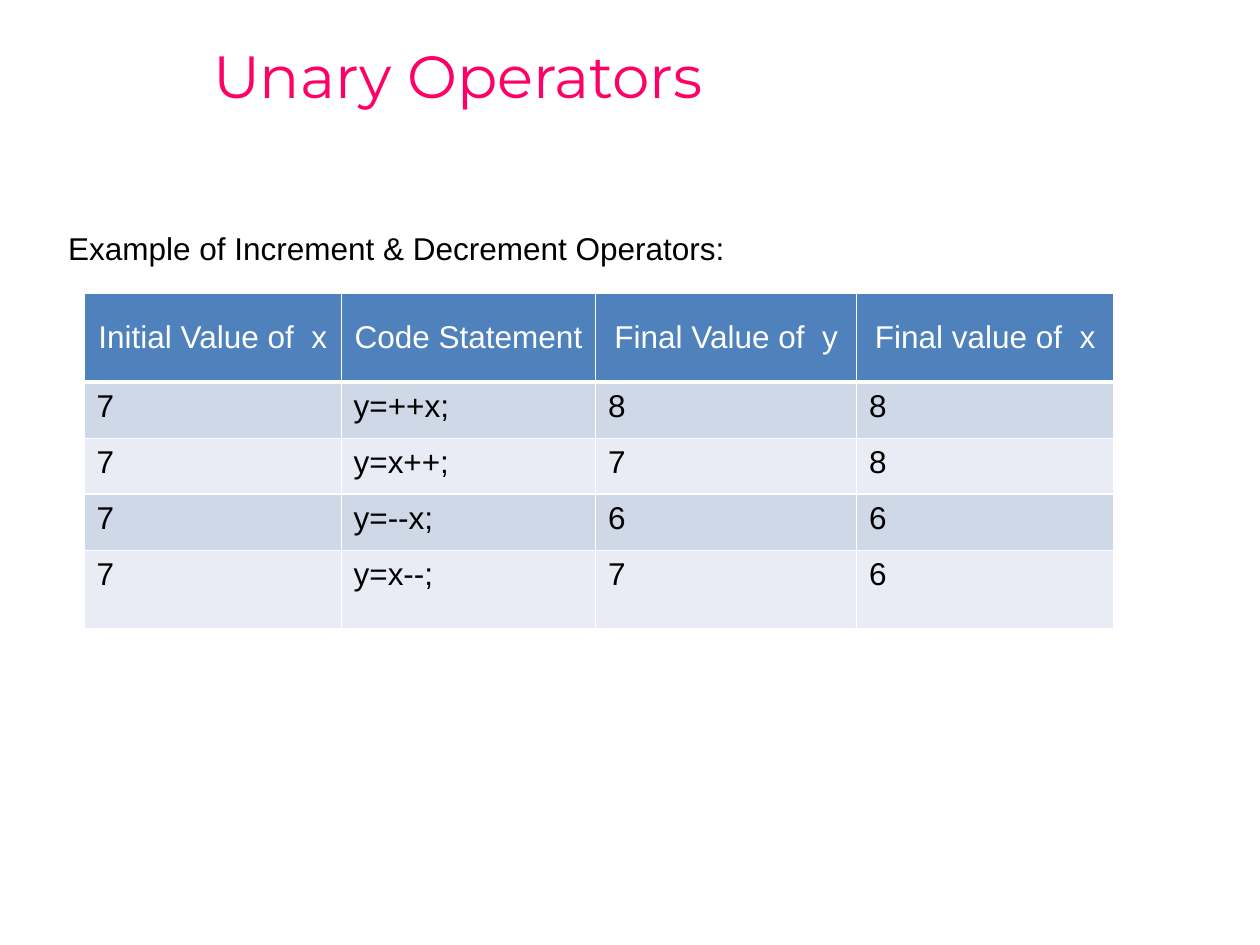
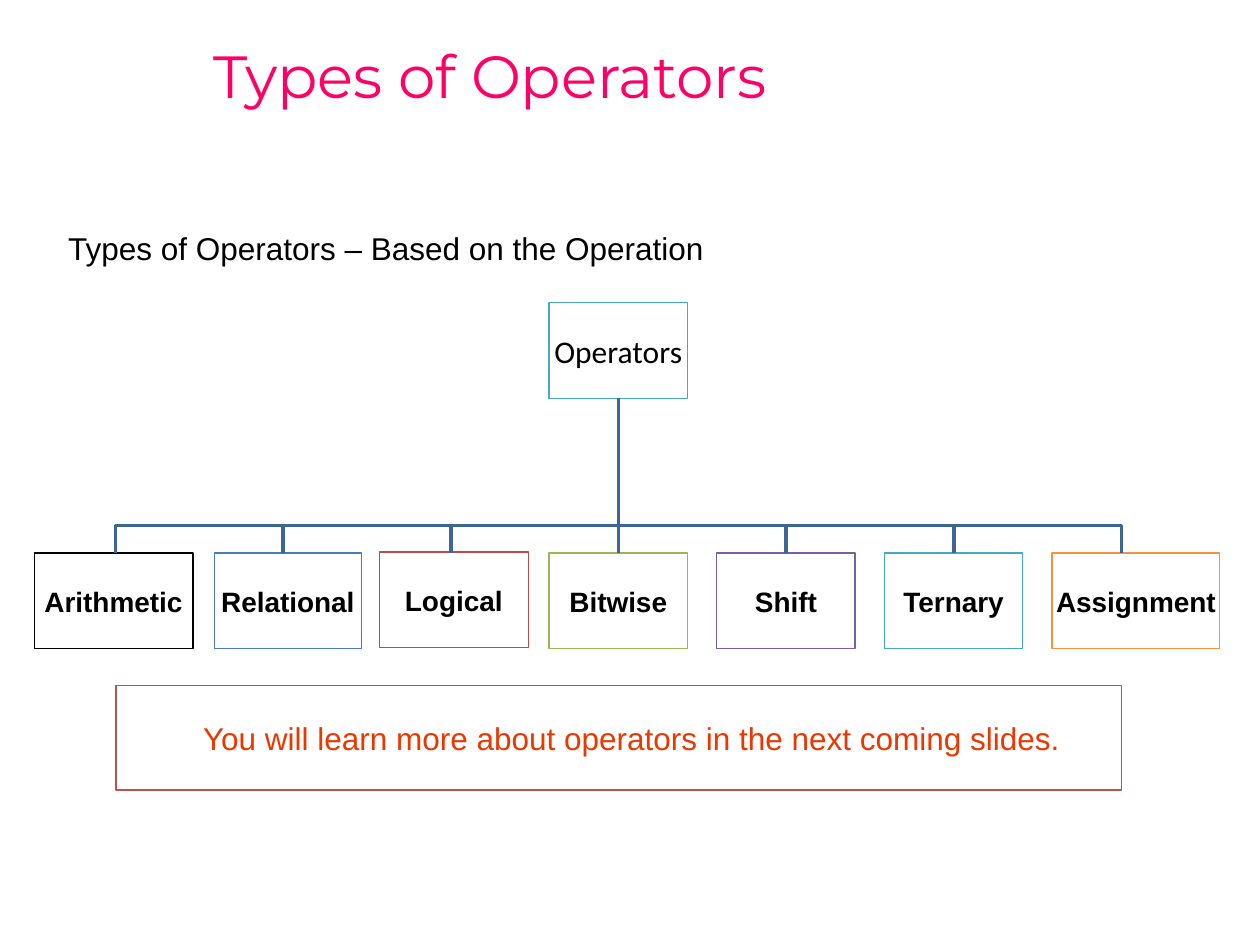
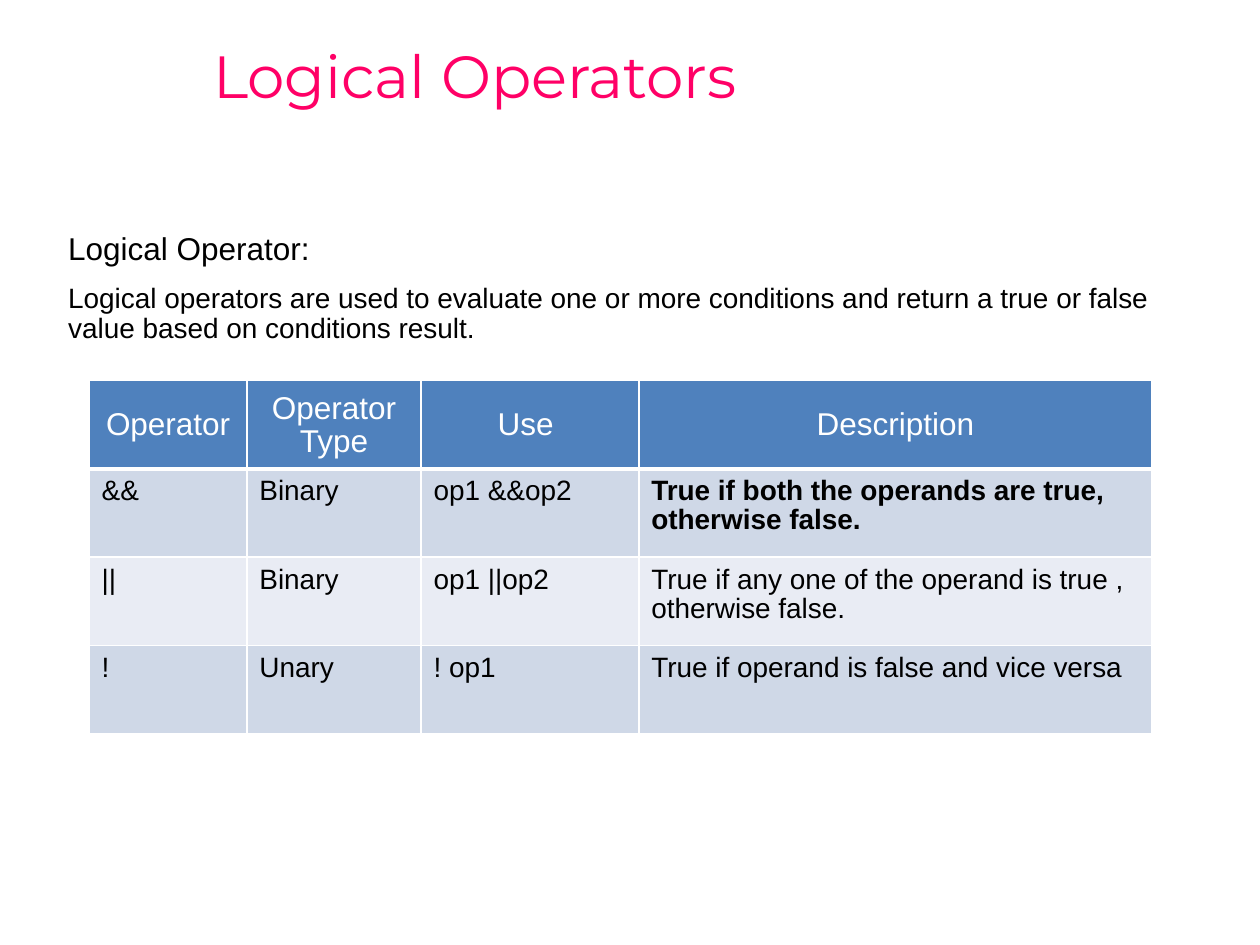
from lxml import etree
from pptx import Presentation
from pptx import util as u
from pptx.dml import color
from pptx.enum import shapes, text
from pptx.oxml import ns

COLORS = {
    "title": "FF0066", "ink": "000000", "paper": "FFFFFF", "branch": "3B6696",
    "header": "4F81BD", "odd": "CFD8E7", "even": "E9ECF4",
    "blue": "4A7DBA", "red": "BD4B48", "green": "97B853", "purple": "7C5F9F",
    "teal": "46A9C4", "orange": "F5913F", "note": "EA3800", "note edge": "C0504D",
}
RGB = {name: color.RGBColor.from_string(value) for name, value in COLORS.items()}
LEFT, CENTER = text.PP_ALIGN.LEFT, text.PP_ALIGN.CENTER
MIDDLE, TOP = text.MSO_ANCHOR.MIDDLE, text.MSO_ANCHOR.TOP


def write(paragraph, words, size=18, font="Arial", ink="ink", bold=False,
          align=LEFT, spacing=1.0, before=0, indent=0):
    run = paragraph.add_run()
    run.text = words
    run.font.size, run.font.name, run.font.bold = u.Pt(size), font, bold
    run.font.color.rgb = RGB[ink]
    paragraph.alignment = align
    paragraph.line_spacing = spacing
    paragraph.space_before = u.Pt(before)
    properties = paragraph._p.get_or_add_pPr()
    properties.set("marL", str(u.Cm(indent)))
    properties.set("indent", "0")
    etree.SubElement(properties, ns.qn("a:buNone"))


def fill_table(slide, left, top, widths, heights, rows, size, bold_cells=()):
    table = slide.shapes.add_table(
        len(rows), len(widths), u.Cm(left), u.Cm(top),
        u.Cm(sum(widths)), u.Cm(sum(heights))).table
    table.first_row = table.horz_banding = False
    for column, width in zip(table.columns, widths):
        column.width = u.Cm(width)
    for r, (row, height) in enumerate(zip(rows, heights)):
        table.rows[r].height = u.Cm(height)
        for c, words in enumerate(row):
            cell = table.cell(r, c)
            cell.margin_left = cell.margin_right = u.Cm(0.25)
            cell.margin_top, cell.margin_bottom = u.Cm(0.18), u.Cm(0.13)
            cell.vertical_anchor = TOP if r else MIDDLE
            write(cell.text_frame.paragraphs[0], words, spacing=0.93,
                  size=size if r else 18, ink="ink" if r else "paper",
                  align=LEFT if r else CENTER, bold=(r, c) in bold_cells)
            # White borders, thicker below the header
            for side in ("L", "R", "T", "B"):
                thick = (r, side) in ((0, "B"), (1, "T"))
                border = etree.SubElement(cell._tc.get_or_add_tcPr(), ns.qn(f"a:ln{side}"),
                                          w=str(u.Pt(2.95 if thick else 0.91)))
                solid = etree.SubElement(border, ns.qn("a:solidFill"))
                etree.SubElement(solid, ns.qn("a:srgbClr"), val=COLORS["paper"])
            cell.fill.solid()
            cell.fill.fore_color.rgb = RGB["header" if r == 0 else "odd" if r % 2 else "even"]


prs = Presentation()
prs.slide_width, prs.slide_height = u.Cm(25.4), u.Cm(19.05)

# Titles and body text of all slides
contents = [
    ("Unary Operators", 12.19, [("Example of Increment & Decrement Operators:", 18)]),
    ("Types of Operators", 12.19, [("Types of Operators – Based on the Operation", 18)]),
    ("Logical Operators", 11.18, [
        ("Logical Operator:", 18),
        ("Logical operators are used to evaluate one or more conditions and return "
         "a true or false value based on conditions result.", 16)]),
]
for heading, body_height, lines in contents:
    slide = prs.slides.add_slide(prs.slide_layouts[1])
    title, body = slide.placeholders
    title.left, title.top, title.width, title.height = map(u.Cm, (4.04, 0.03, 21.36, 3.15))
    body.left, body.top, body.width, body.height = map(u.Cm, (1.12, 4.57, 23.01, body_height))
    for holder, anchor in ((title, MIDDLE), (body, TOP)):
        holder.text_frame.auto_size = text.MSO_AUTO_SIZE.NONE
        holder.text_frame.vertical_anchor = anchor
    write(title.text_frame.paragraphs[0], heading, size=34, font="Montserrat",
          ink="title", spacing=0.9)
    for i, (line, size) in enumerate(lines):
        frame = body.text_frame
        write(frame.add_paragraph() if i else frame.paragraphs[0], line,
              size=size, spacing=0.9, before=10)
unary, types, logical = prs.slides

# Unary operators: increment and decrement results
fill_table(unary, 1.7, 5.92, [5.18, 5.13, 5.26, 5.18], [1.78, 1.14, 1.12, 1.14, 1.57], [
    ["Initial Value of  x", "Code Statement", "Final Value of  y", "Final value of  x"],
    ["7", "y=++x;", "8", "8"],
    ["7", "y=x++;", "7", "8"],
    ["7", "y=--x;", "6", "6"],
    ["7", "y=x--;", "7", "6"],
], size=18)

# Types of operators: boxes of the tree and the note below
boxes = [
    ("Operators", 11.07, 6.1, 2.79, 1.93, "teal", dict(font="Calibri")),
    ("Arithmetic", 0.69, 11.15, 3.2, 1.93, "ink", dict(size=16, bold=True)),
    ("Relational", 4.32, 11.15, 2.97, 1.93, "blue", dict(size=16, bold=True)),
    ("Logical", 7.65, 11.13, 3, 1.93, "red", dict(size=16, bold=True)),
    ("Bitwise", 11.07, 11.15, 2.79, 1.93, "green", dict(size=16, bold=True)),
    ("Shift", 14.45, 11.15, 2.79, 1.93, "purple", dict(size=16, bold=True)),
    ("Ternary", 17.83, 11.15, 2.79, 1.93, "teal", dict(size=16, bold=True)),
    ("Assignment", 21.21, 11.15, 3.38, 1.93, "orange", dict(size=16, bold=True)),
    ("You will learn more about operators in the next coming slides.",
     2.34, 13.82, 20.27, 2.11, "note edge", dict(ink="note", indent=0.51)),
]
tree = {}
for words, left, top, width, height, edge, style in boxes:
    box = types.shapes.add_shape(shapes.MSO_SHAPE.RECTANGLE,
                                 *map(u.Cm, (left, top, width, height)))
    box.shadow.inherit = False
    box.fill.solid()
    box.fill.fore_color.rgb = RGB["paper"]
    box.line.color.rgb = RGB[edge]
    box.line.width = u.Pt(0.75)
    box.text_frame.vertical_anchor = MIDDLE
    box.text_frame.word_wrap = edge == "note edge"
    if edge == "note edge":
        box.text_frame.margin_left = box.text_frame.margin_right = 0
    write(box.text_frame.paragraphs[0], words, align=CENTER, **style)
    tree[words] = box

# Branches: a straight trunk to the middle box, bent ones to the others
trunk_x, root_bottom, bend_y, leaf_top, step = 12.47, 8.03, 10.59, 11.15, 3.38
trunk = types.shapes.add_connector(shapes.MSO_CONNECTOR.STRAIGHT, u.Cm(trunk_x),
                                   u.Cm(root_bottom), u.Cm(trunk_x), u.Cm(leaf_top))
trunk.begin_connect(tree["Operators"], 2)
trunk.end_connect(tree["Bitwise"], 0)
etree.SubElement(trunk._element.spPr, ns.qn("a:effectLst"))
branches = [trunk]
for offset in (-3, -2, -1, 1, 2, 3):
    leaf_x = trunk_x + offset * step
    outline = types.shapes.build_freeform(u.Cm(trunk_x), u.Cm(root_bottom))
    outline.add_line_segments([(u.Cm(x), u.Cm(y)) for x, y in (
        (trunk_x, bend_y), (leaf_x, bend_y), (leaf_x, leaf_top))], close=False)
    branch = outline.convert_to_shape()
    branch.fill.background()
    branch.shadow.inherit = False
    branches.append(branch)
for branch in branches:
    branch.line.color.rgb = RGB["branch"]
    branch.line.width = u.Pt(2)

# Logical operators: use and meaning
fill_table(logical, 1.8, 7.67, [3.18, 3.51, 4.39, 10.34], [1.78] * 4, [
    ["Operator", "Operator Type", "Use ", "Description"],
    ["&&", "Binary", "op1 &&op2", "True if both the operands are true, otherwise false."],
    ["||", "Binary", "op1 ||op2", "True if any one of the operand is true , otherwise false."],
    ["!", "Unary", "! op1", "True if operand is false and vice versa"],
], size=16, bold_cells=[(1, 3)])

prs.save("out.pptx")
